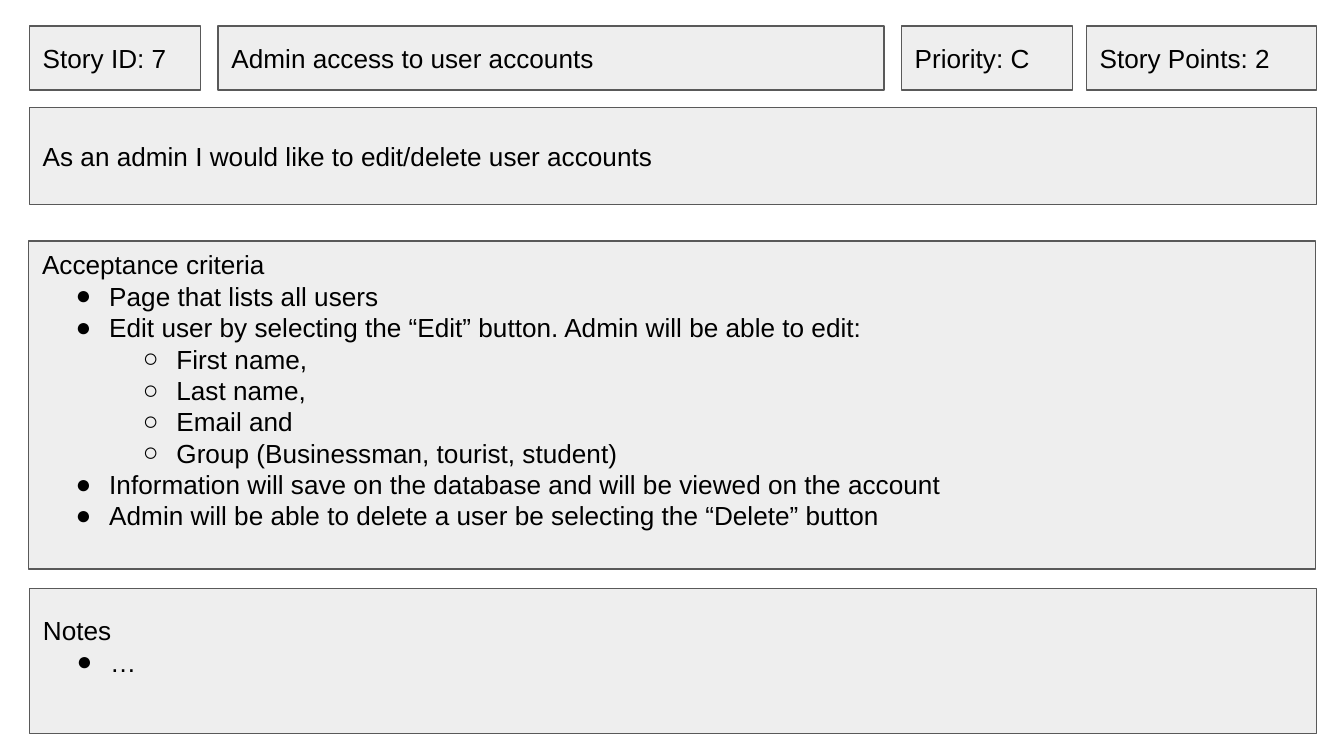
from lxml import etree
from pptx import Presentation
from pptx.dml.color import RGBColor
from pptx.enum.shapes import MSO_SHAPE
from pptx.enum.text import MSO_ANCHOR, MSO_AUTO_SIZE, PP_ALIGN
from pptx.oxml.ns import qn
from pptx.util import Pt

RECTANGLE = MSO_SHAPE.RECTANGLE
MIDDLE = MSO_ANCHOR.MIDDLE
NO_AUTOFIT = MSO_AUTO_SIZE.NONE
LEFT = PP_ALIGN.LEFT

COLOURS = {"fill": "EEEEEE", "line": "595959", "text": "000000"}
FONT = "Arial"
FONT_SIZE = 14
INSET = 7.2
LINE_HEIGHT = 16.1
INDENT = 36
HANGING = 18
BULLETS = ["●", "○"]
TWO_CONTENT_LAYOUT = 3

HEADER_TOP, HEADER_HEIGHT = 13.9, 34.4
MARGIN, FULL_WIDTH = 15.8, 689.5

TITLE = "Admin access to user accounts"
TITLE_LEFT, TITLE_WIDTH = 116.8, 356.9
HEADER_CARDS = [
    ("Story ID: 7", MARGIN, 91.6),
    ("Priority: C", 482.9, 91.6),
    ("Story Points: 2", 582, 123.3),
]
STORY = "As an admin I would like to edit/delete user accounts"
STORY_TOP, STORY_HEIGHT = 57.6, 52

LISTS = [
    {
        "heading": "Acceptance criteria",
        "frame": (15.3, 129.1, FULL_WIDTH, 175.8),
        "items": [
            (0, "Page that lists all users"),
            (0, "Edit user by selecting the “Edit” button. Admin will be able to edit:"),
            (1, "First name,"),
            (1, "Last name,"),
            (1, "Email and"),
            (1, "Group (Businessman, tourist, student)"),
            (0, "Information will save on the database and will be viewed on the account"),
            (0, "Admin will be able to delete a user be selecting the “Delete” button"),
        ],
    },
    {
        "heading": "Notes",
        "frame": (MARGIN, 315.3, FULL_WIDTH, 77.7),
        "items": [(0, "…")],
    },
]


def colour(name):
    return RGBColor.from_string(COLOURS[name])


def style_box(box, frame, bottom_inset=INSET):
    box.left, box.top, box.width, box.height = (Pt(length) for length in frame)
    box.fill.solid()
    box.fill.fore_color.rgb = colour("fill")
    box.line.color.rgb = colour("line")
    box.line.width = Pt(0.75)
    text = box.text_frame
    text.word_wrap = True
    text.auto_size = NO_AUTOFIT
    text.vertical_anchor = MIDDLE
    text.margin_left = text.margin_right = text.margin_top = Pt(INSET)
    text.margin_bottom = Pt(bottom_inset)


def set_bullet(para, level):
    properties = para._p.get_or_add_pPr()
    if level is None:
        properties.set("marL", "0")
        properties.set("indent", "0")
        etree.SubElement(properties, qn("a:buNone"))
        return
    para.level = level
    properties.set("marL", str(Pt(INDENT * (level + 1))))
    properties.set("indent", str(-Pt(HANGING)))
    etree.SubElement(properties, qn("a:buFont"), typeface=FONT)
    etree.SubElement(properties, qn("a:buChar"), char=BULLETS[level])


def write_para(para, words, level=None):
    para.text = words
    para.alignment = LEFT
    para.space_before = Pt(0)
    set_bullet(para, level)
    para.font.name = FONT
    para.font.size = Pt(FONT_SIZE)
    para.font.color.rgb = colour("text")


def add_card(page, words, frame):
    card = page.shapes.add_shape(RECTANGLE, *(Pt(length) for length in frame))
    card.shadow.inherit = False
    style_box(card, frame)
    write_para(card.text_frame.paragraphs[0], words)


def fill_list(box, content):
    style_box(box, content["frame"], INSET + LINE_HEIGHT)
    text = box.text_frame
    write_para(text.paragraphs[0], content["heading"])
    for level, words in content["items"]:
        write_para(text.add_paragraph(), words, level)


def main():
    deck = Presentation()
    deck.slide_width, deck.slide_height = Pt(720), Pt(405)
    page = deck.slides.add_slide(deck.slide_layouts[TWO_CONTENT_LAYOUT])

    title = page.shapes.title
    style_box(title, (TITLE_LEFT, HEADER_TOP, TITLE_WIDTH, HEADER_HEIGHT))
    write_para(title.text_frame.paragraphs[0], TITLE)

    for words, left, width in HEADER_CARDS:
        add_card(page, words, (left, HEADER_TOP, width, HEADER_HEIGHT))
    add_card(page, STORY, (MARGIN, STORY_TOP, FULL_WIDTH, STORY_HEIGHT))

    for index, content in enumerate(LISTS, start=1):
        fill_list(page.placeholders[index], content)

    deck.save("out.pptx")


if __name__ == "__main__":
    main()
